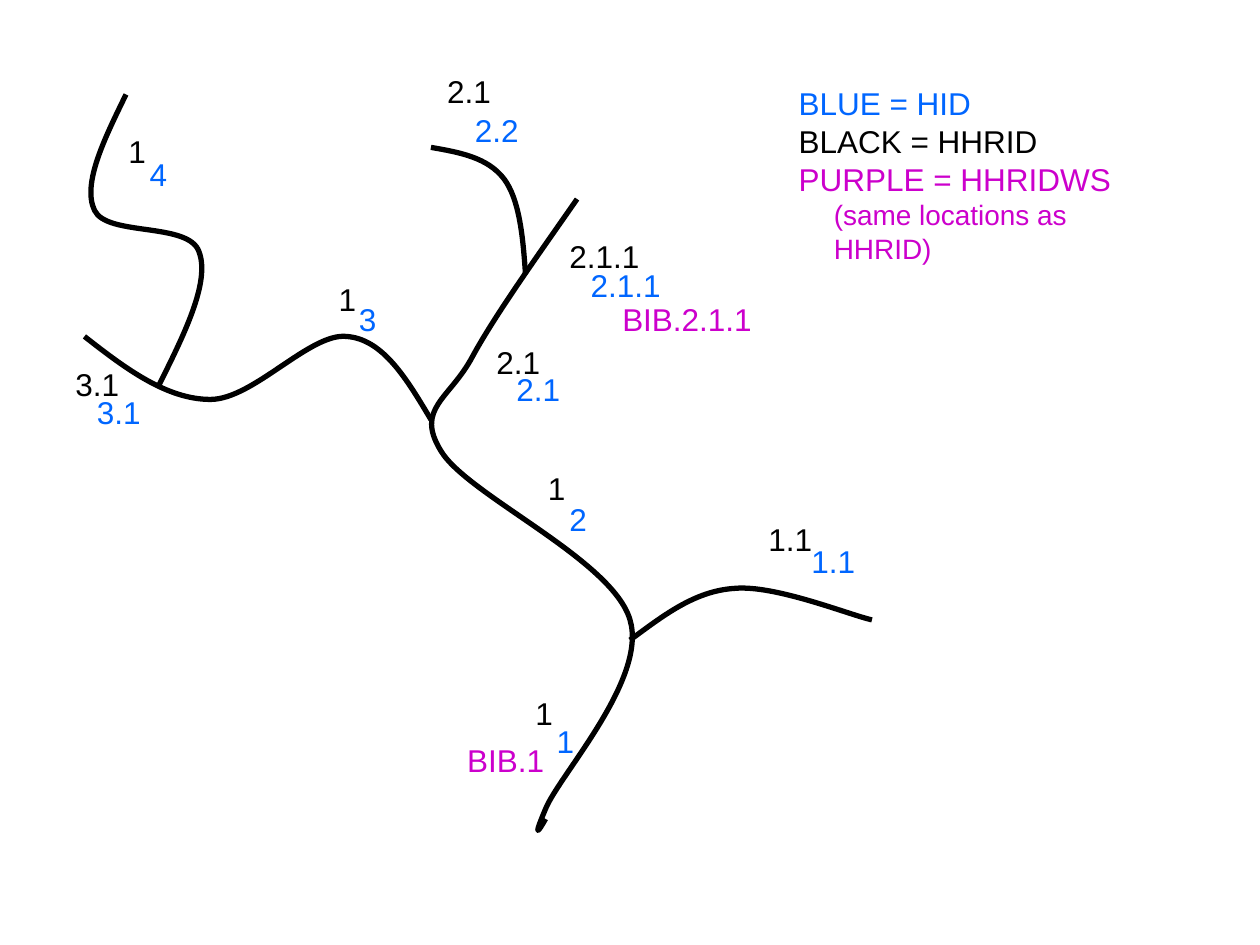
from dataclasses import dataclass

from lxml.etree import SubElement
from pptx import Presentation
from pptx.dml.color import RGBColor as RGB
from pptx.enum.text import MSO_AUTO_SIZE as AutoSize
from pptx.oxml.ns import qn
from pptx.util import Inches, Pt


@dataclass(frozen=True)
class Theme:
    font: str = "Arial"
    label_size: float = 18
    note_size: float = 16
    branch_width: float = 3
    black: RGB = RGB(0x00, 0x00, 0x00)
    blue: RGB = RGB(0x00, 0x66, 0xFF)
    purple: RGB = RGB(0xCC, 0x00, 0xCC)


@dataclass(frozen=True)
class Branch:
    points: list[tuple[float, float]]


@dataclass(frozen=True)
class Line:
    text: str
    color: RGB
    size: float
    indent: float = 0


@dataclass(frozen=True)
class Label:
    text: str
    color: RGB
    left: float
    top: float


THEME = Theme()
INSET = 0.1
LABEL_HEIGHT = 0.4
GLYPH_EMS = {".": 0.28, "I": 0.28, "B": 0.67}
DIGIT_EMS = 0.56

BRANCHES = [
    Branch([(4.33, 6.5), (4.28, 6.59), (4.22, 6.68), (4.33, 6.42),
            (4.44, 6.15), (5.14, 5.39), (5, 4.92),
            (4.86, 4.44), (3.71, 3.93), (3.5, 3.58),
            (3.29, 3.24), (3.57, 3.17), (3.75, 2.83),
            (3.93, 2.5), (4.26, 2.04), (4.58, 1.58)]),
    Branch([(5, 5.08), (5.26, 4.89), (5.51, 4.69), (5.83, 4.67),
            (6.15, 4.64), (6.74, 4.88), (6.92, 4.92)]),
    Branch([(3.42, 3.33), (3.23, 3.01), (3.04, 2.69), (2.75, 2.67),
            (2.46, 2.64), (2.01, 3.17), (1.67, 3.17),
            (1.32, 3.17), (0.99, 2.92), (0.67, 2.67)]),
    Branch([(1.25, 3.08), (1.46, 2.66), (1.67, 2.24), (1.58, 2),
            (1.5, 1.76), (0.85, 1.88), (0.75, 1.67),
            (0.65, 1.46), (0.83, 1.1), (1, 0.75)]),
    Branch([(4.17, 2.17), (4.15, 1.87), (4.12, 1.58), (4, 1.42),
            (3.87, 1.25), (3.65, 1.21), (3.42, 1.17)]),
]

LABELS = [
    Label("1", THEME.black, 4.15, 5.46),
    Label("1", THEME.blue, 4.32, 5.68),
    Label("BIB.1", THEME.purple, 3.61, 5.83),
    Label("1", THEME.black, 4.25, 3.67),
    Label("2", THEME.blue, 4.42, 3.92),
    Label("1", THEME.black, 2.59, 2.17),
    Label("3", THEME.blue, 2.75, 2.33),
    Label("1", THEME.black, 0.92, 1),
    Label("4", THEME.blue, 1.09, 1.18),
    Label("3.1", THEME.black, 0.5, 2.85),
    Label("3.1", THEME.blue, 0.67, 3.07),
    Label("2.1.1", THEME.black, 4.42, 1.83),
    Label("2.1.1", THEME.blue, 4.59, 2.06),
    Label("BIB.2.1.1", THEME.purple, 4.84, 2.33),
    Label("2.1", THEME.black, 3.84, 2.67),
    Label("2.1", THEME.blue, 4, 2.89),
    Label("2.1", THEME.black, 3.45, 0.52),
    Label("2.2", THEME.blue, 3.67, 0.83),
    Label("1.1", THEME.black, 6, 4.08),
    Label("1.1", THEME.blue, 6.34, 4.25),
]

LEGEND = [
    Line("BLUE = HID", THEME.blue, THEME.label_size),
    Line("BLACK = HHRID", THEME.black, THEME.label_size),
    Line("PURPLE = HHRIDWS", THEME.purple, THEME.label_size),
    Line("(same locations as HHRID)", THEME.purple, THEME.note_size, 0.28),
]


def draw_branch(slide, branch: Branch) -> None:
    start, *rest = [(Inches(x), Inches(y)) for x, y in branch.points]
    builder = slide.shapes.build_freeform(*start)
    builder.add_line_segments(rest, close=False)
    river = builder.convert_to_shape()
    river.shadow.inherit = False
    river.fill.background()
    river.line.color.rgb = THEME.black
    river.line.width = Pt(THEME.branch_width)
    outline = next(river._element.iter(qn("a:path")))
    steps = outline.findall(qn("a:lnTo"))
    for first in range(0, len(steps), 3):
        curve = SubElement(outline, qn("a:cubicBezTo"))
        for step in steps[first:first + 3]:
            curve.append(step[0])
            outline.remove(step)


def write_lines(slide, lines: list[Line], left: float, top: float,
                width: float, height: float) -> None:
    frame = slide.shapes.add_textbox(
        Inches(left), Inches(top), Inches(width), Inches(height)).text_frame
    frame.word_wrap = False
    frame.auto_size = AutoSize.SHAPE_TO_FIT_TEXT
    for index, line in enumerate(lines):
        paragraph = frame.add_paragraph() if index else frame.paragraphs[0]
        if line.indent:
            layout = paragraph._p.get_or_add_pPr()
            layout.set("marL", str(Inches(line.indent)))
            layout.set("indent", "0")
        run = paragraph.add_run()
        run.text = line.text
        run.font.color.rgb = line.color
        for name, value in {"name": THEME.font, "size": Pt(line.size)}.items():
            setattr(run.font, name, value)


def draw_label(slide, label: Label) -> None:
    ems = sum(GLYPH_EMS.get(glyph, DIGIT_EMS) for glyph in label.text)
    width = 2 * INSET + ems * THEME.label_size / 72
    write_lines(slide, [Line(label.text, label.color, THEME.label_size)],
                label.left, label.top, width, LABEL_HEIGHT)


def main() -> None:
    deck = Presentation()
    deck.slide_width, deck.slide_height = Inches(10), Inches(7.5)
    slide = deck.slides.add_slide(deck.slide_layouts[6])
    for branch in BRANCHES:
        draw_branch(slide, branch)
    for label in LABELS:
        draw_label(slide, label)
    write_lines(slide, LEGEND, 6.24, 0.62, 3.16, 1.3)
    deck.save("out.pptx")


if __name__ == "__main__":
    main()
